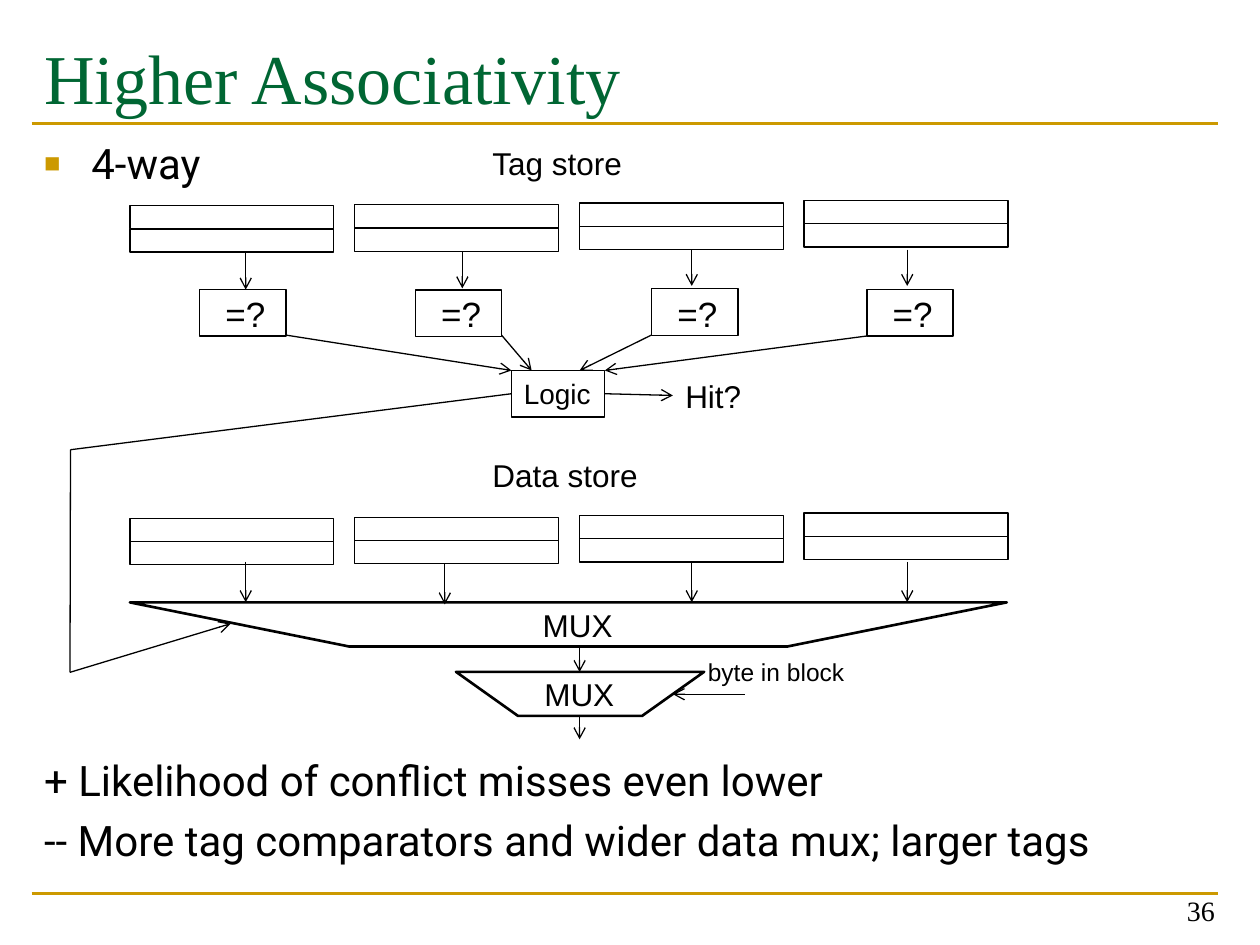
from lxml import etree
from pptx import Presentation
from pptx.dml.color import RGBColor
from pptx.enum.shapes import MSO_CONNECTOR, MSO_SHAPE
from pptx.enum.text import MSO_ANCHOR, MSO_AUTO_SIZE, PP_ALIGN
from pptx.oxml.ns import qn
from pptx.util import Pt

RECT, LINE = MSO_SHAPE.RECTANGLE, MSO_CONNECTOR.STRAIGHT
TOP, BOTTOM, MIDDLE = MSO_ANCHOR.TOP, MSO_ANCHOR.BOTTOM, MSO_ANCHOR.MIDDLE
LEFT, RIGHT = PP_ALIGN.LEFT, PP_ALIGN.RIGHT
FIXED = MSO_AUTO_SIZE.NONE
HUES = {"ink": "000000", "title": "006633", "gold": "CC9900"}
SERIF, SANS, BODY = "Times New Roman", "Arial", "Roboto"


class Page:
    def __init__(self, deck):
        self.slide = deck.slides.add_slide(deck.slide_layouts[1])
        self.shapes = self.slide.shapes

    def hue(self, name):
        return RGBColor.from_string(HUES[name])

    def place(self, shape, box):
        for name, value in zip(("left", "top", "width", "height"), box):
            setattr(shape, name, Pt(value))

    def frame(self, shape, **extra):
        form = {"auto_size": FIXED, "word_wrap": True,
                "vertical_anchor": TOP} | extra
        for name, value in form.items():
            setattr(shape.text_frame, name, value)
        return shape.text_frame

    def words(self, para, text, size, font, hue="ink", align=LEFT):
        para.text, para.alignment = text, align
        form = {"size": Pt(size), "name": font, "bold": False}
        for name, value in form.items():
            setattr(para.font, name, value)
        para.font.color.rgb = self.hue(hue)

    def title(self, text, box):
        shape = self.shapes.title
        self.place(shape, box)
        frame = self.frame(shape, margin_top=Pt(7.6))
        self.words(frame.paragraphs[0], text, 40, SERIF, "title")

    def list(self, items, box):
        """Each item is its text, space before and bullet sign or None."""
        shape = self.slide.placeholders[1]
        self.place(shape, box)
        frame = self.frame(shape, margin_top=0)
        for i, (text, gap, sign) in enumerate(items):
            para = frame.add_paragraph() if i else frame.paragraphs[0]
            self.words(para, text, 24, BODY)
            para.space_before = Pt(gap)
            self.bullet(para._p.get_or_add_pPr(), sign)

    def bullet(self, props, sign):
        """Bullet parts go before the default run properties."""
        props.set("marL", str(Pt(27)))
        props.set("indent", str(-Pt(27)))
        font = props.find(qn("a:defRPr"))

        def add(tag, **values):
            part = etree.Element(qn(tag), **values)
            font.addprevious(part)
            return part

        if not sign:
            add("a:buNone")
            return
        etree.SubElement(add("a:buClr"), qn("a:srgbClr"), val=HUES["gold"])
        add("a:buSzPct", val="65000")
        add("a:buFont", typeface=SANS)
        add("a:buChar", char=sign)

    def label(self, text, box, size=18, font=SANS, align=LEFT, **form):
        shape = self.shapes.add_textbox(*map(Pt, box))
        frame = self.frame(shape, **form)
        self.words(frame.paragraphs[0], text, size, font, align=align)

    def outline(self, shape, width):
        shape.shadow.inherit = False
        shape.fill.background()
        shape.line.color.rgb = self.hue("ink")
        shape.line.width = Pt(width)
        return shape

    def rect(self, *box):
        shape = self.shapes.add_shape(RECT, *map(Pt, box))
        return self.outline(shape, 0.75)

    def mux(self, x, y, wide, high):
        """A trapezoid whose lower side is half as long as the upper."""
        edge = self.shapes.build_freeform(Pt(x + wide), Pt(y))
        edge.add_line_segments([
            (Pt(x + wide * 0.75), Pt(y + high)),
            (Pt(x + wide * 0.25), Pt(y + high)), (Pt(x), Pt(y))])
        self.outline(edge.convert_to_shape(), 1.5)

    def line(self, start, end, head=True, hue="ink", width=0.75):
        link = self.shapes.add_connector(LINE, *map(Pt, (*start, *end)))
        link.line.color.rgb = self.hue(hue)
        link.line.width = Pt(width)
        if head:
            etree.SubElement(link.line._get_or_add_ln(), qn("a:tailEnd"),
                             type="arrow")
        etree.SubElement(link._element.spPr, qn("a:effectLst"))
        return link


def main():
    deck = Presentation()
    deck.slide_width, deck.slide_height = Pt(720), Pt(540)
    page = Page(deck)

    # Frame: rules, title, body text and page number
    for y in (510.5, 70.6):
        page.line((18, y), (696.2, y), False, "gold", 1.5)
    page.title("Higher Associativity", (18, 12.2, 678.2, 84.2))
    page.list([("4-way", 5.6, "■"),
               ("+ Likelihood of conflict misses even lower", 324, None),
               ("-- More tag comparators and wider data mux; larger tags",
                5.6, None)], (18, 78.5, 678.2, 409))
    page.label("36", (533.5, 497.5, 167.8, 36), 16, SERIF, RIGHT,
               vertical_anchor=BOTTOM)

    # Tag and data stores: four ways of two rows each
    tops = (117.5, 117, 116, 114.5)
    for text, drop, y in (("Tag store", 0, 78.5),
                          ("Data store", 178.6, 257)):
        page.label(text, (274.3, y, 98, 28.8), word_wrap=False)
        for way, top in enumerate(tops):
            for row in range(2):
                page.rect(74.2 + 128.4 * way, top + drop + 13.3 * row,
                          116.6, 13.3)

    # Comparators with the arrows from the tags
    for x, y, mid, start in ((114.2, 165.5, 140.4, 144.7),
                             (237.5, 165.7, 264.2, 144),
                             (372.5, 165, 395.3, 142.6),
                             (495.5, 165.5, 518.4, 142.6)):
        page.rect(x, y, 49.2, 26.6)
        page.label("=?", (x + 7.5, 163.6, 37.4, 31.7), 20, word_wrap=False)
        page.line((mid, start), (mid, start + 20.8))

    # Hit logic
    logic = page.rect(292.3, 211.7, 53.3, 26.6)
    frame = page.frame(logic, vertical_anchor=MIDDLE, word_wrap=False)
    page.words(frame.paragraphs[0], "Logic", 16, SANS)
    for start, x in (((163.4, 191.5), 292.3), ((286.6, 191.5), 303.8),
                     ((372.2, 191.5), 331.2), ((495.4, 192), 345.6)):
        page.line(start, (x, 211.7))
    page.line((345.6, 225), (384.5, 226)).begin_connect(logic, 3)
    page.label("Hit?", (384.5, 211.7, 46.8, 28.8), word_wrap=False)

    # Way select, from the logic round to the wide mux
    page.line((292.3, 225), (40.3, 257), False).begin_connect(logic, 1)
    page.line((40.3, 257), (40, 384.2), False)
    page.line((40, 384.2), (131.8, 356.4))

    # Multiplexers
    page.mux(74.2, 344.2, 501.1, 25.2)
    page.mux(260.6, 383.9, 141.8, 25.2)
    for x, y in ((303, 342.7), (304, 382.4)):
        page.label("MUX", (x, y, 56, 28.8), word_wrap=False)
    for x, y in ((140.4, 321.1), (254.2, 322.4),
                 (395.3, 321.1), (518.4, 321.1)):
        page.line((x, y), (x, y + 23))
    page.line((331.2, 369.4), (331.2, 384))
    page.line((331.2, 409), (331.2, 422.5))
    page.line((425.5, 396.7), (384.5, 396.7))
    page.label("byte in block", (397.4, 372.2, 92.9, 24.5), 14,
               word_wrap=False)

    deck.save("out.pptx")


if __name__ == "__main__":
    main()
